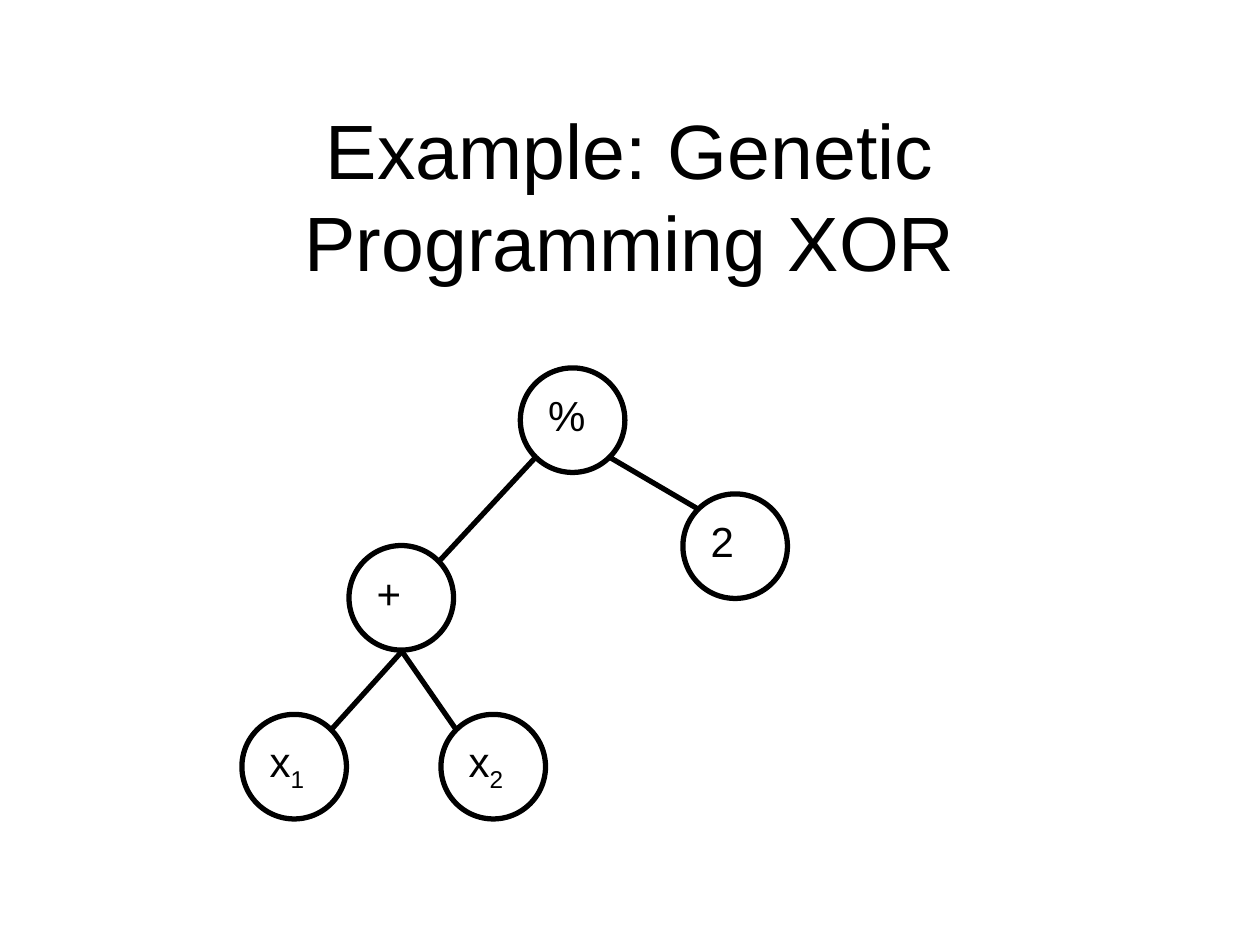
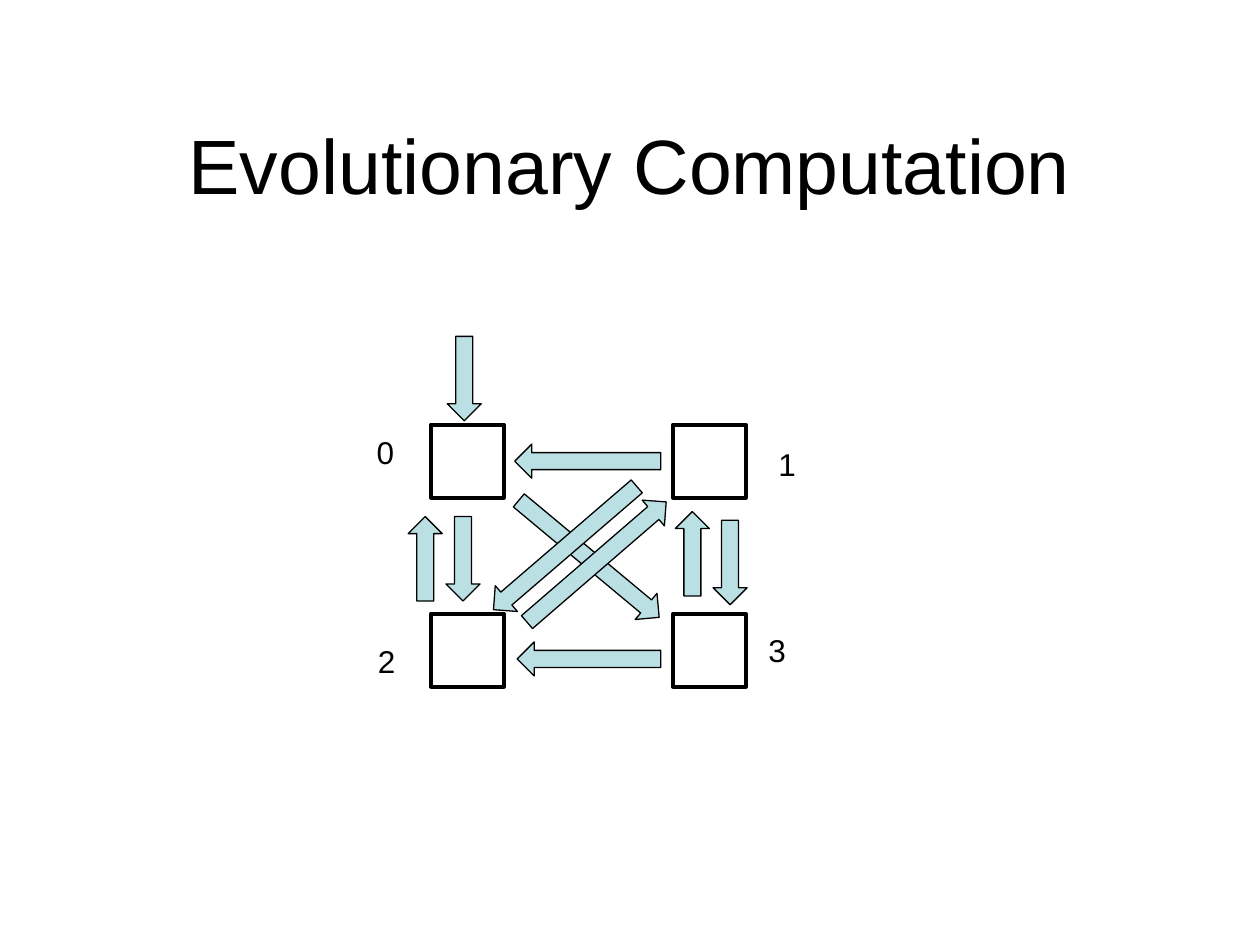
from lxml import etree
from pptx import Presentation
from pptx import util as u
from pptx.dml import color
from pptx.enum import shapes, text
from pptx.oxml import ns

HUES = {"ink": "000000", "arrow": "BBE0E3"}
FONT = "Arial"
KIND = shapes.MSO_SHAPE
ink = color.RGBColor.from_string(HUES["ink"])

deck = Presentation()
deck.slide_width, deck.slide_height = u.Inches(10), u.Inches(7.5)


def write(frame, words, size=24, sub="", align=text.PP_ALIGN.LEFT,
          anchor=text.MSO_ANCHOR.TOP, wrap=True):
    frame.word_wrap = wrap
    frame.vertical_anchor = anchor
    par = frame.paragraphs[0]
    par.alignment = align
    for part in filter(None, (words, sub)):
        run = par.add_run()
        run.text = part
        run.font.size = u.Pt(size)
        run.font.name = FONT
        run.font.color.rgb = ink
    if sub:
        run._r.get_or_add_rPr().set("baseline", "-25000")


def draw(page, kind, box, weight, fill=None, turn=0):
    shape = page.shapes.add_shape(kind, *map(u.Inches, box))
    shape.shadow.inherit = False
    shape.rotation = turn
    shape.line.color.rgb = ink
    shape.line.width = u.Pt(weight)
    if fill:
        shape.fill.solid()
        shape.fill.fore_color.rgb = color.RGBColor.from_string(HUES[fill])
    else:
        shape.fill.background()
    return shape


pages = []
for words, high in (("Example: Genetic Programming XOR", 1.75),
                    ("Evolutionary Computation", 1.25)):
    page = deck.slides.add_slide(deck.slide_layouts[6])
    title = page.shapes.add_textbox(*map(u.Inches, (0.75, 0.67, 8.5, high)))
    write(title.text_frame, words, size=44, align=text.PP_ALIGN.CENTER,
          anchor=text.MSO_ANCHOR.MIDDLE)
    pages.append(page)
tree, states = pages

NODE = 0.83
for left, top, words, sub in (
    (4.13, 2.92, "%", ""),
    (2.77, 4.33, "+", ""),
    (1.92, 5.67, "x", "1"),
    (5.42, 3.92, "2", ""),
    (3.5, 5.67, "x", "2"),
):
    node = draw(tree, KIND.OVAL, (left, top, NODE, NODE), 3)
    write(node.text_frame, words, sub=sub)

for ends in (
    (2.63, 5.79, 3.19, 5.17),
    (3.62, 5.79, 3.19, 5.17),
    (3.48, 4.46, 4.25, 3.63),
    (5.54, 4.04, 4.84, 3.63),
):
    edge = tree.shapes.add_connector(
        shapes.MSO_CONNECTOR.STRAIGHT, *map(u.Inches, ends))
    edge.line.color.rgb = ink
    edge.line.width = u.Pt(3)
    etree.SubElement(edge._element.spPr, ns.qn("a:effectLst"))

SIDE = 0.58
for left in (3.42, 5.34):
    for top in (3.37, 4.87):
        draw(states, KIND.RECTANGLE, (left, top, SIDE, SIDE), 2.25)

WIDE = 0.27
for left, top, high, turn in (
    (3.55, 2.67, 0.67, 0),
    (4.54, 3.71, 1.45, 309.8),
    (4.54, 4.66, 1.14, 90),
    (3.54, 4.1, 0.67, 0),
    (4.6, 3.73, 1.46, 229.2),
    (3.24, 4.1, 0.67, 180),
    (4.35, 3.6, 1.5, 49.3),
    (5.36, 4.06, 0.67, 180),
    (4.53, 3.08, 1.16, 90),
    (5.66, 4.13, 0.67, 0),
):
    draw(states, KIND.DOWN_ARROW, (left, top, WIDE, high), 0.75,
         fill="arrow", turn=turn)

spots = ((2.89, 3.39), (6.08, 3.48), (2.9, 5.05), (6, 4.96))
for num, (left, top) in enumerate(spots):
    label = states.shapes.add_textbox(*map(u.Inches, (left, top, 0.34, 0.4)))
    write(label.text_frame, str(num), size=18, wrap=False)
    label.text_frame.auto_size = text.MSO_AUTO_SIZE.SHAPE_TO_FIT_TEXT

deck.save("out.pptx")
